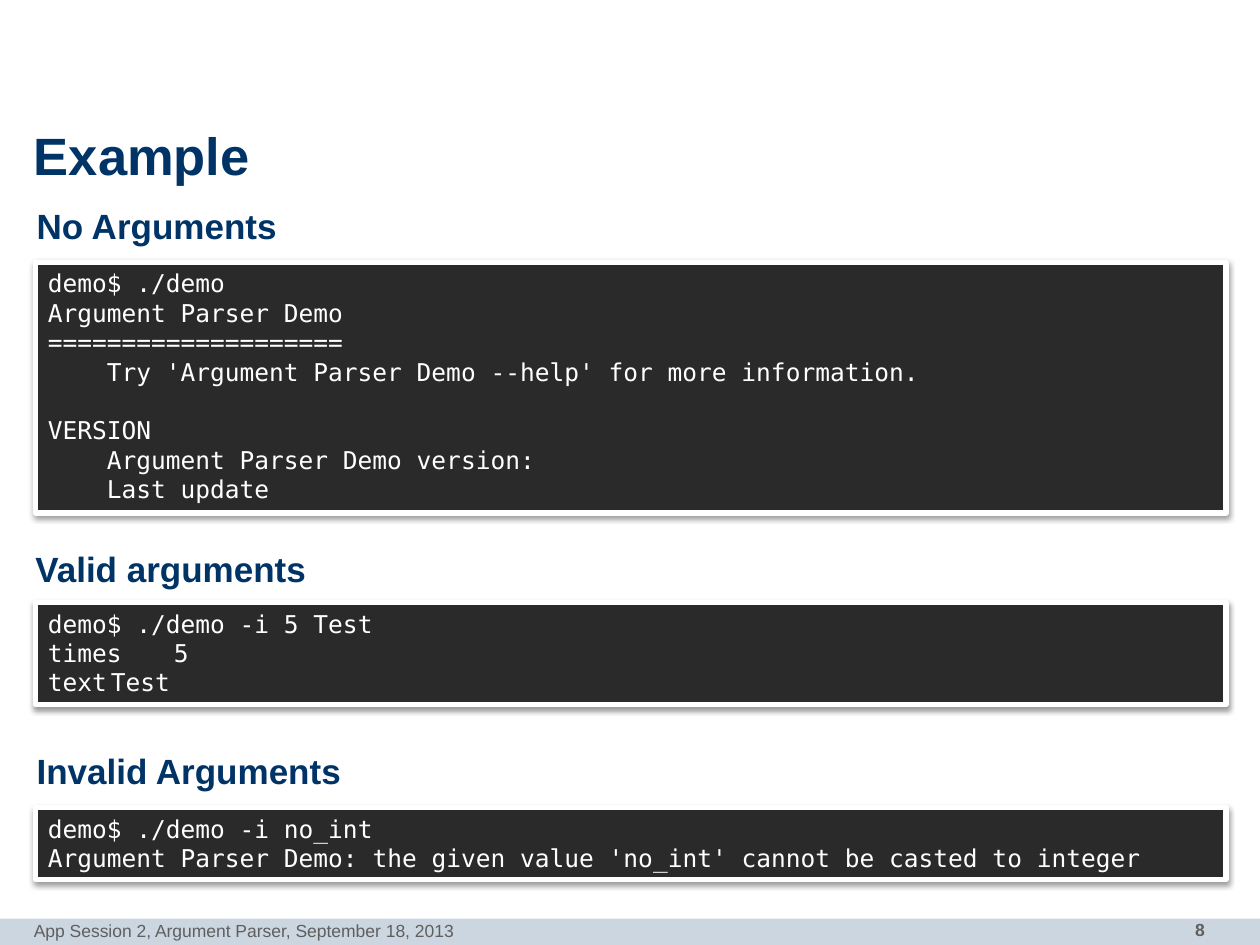
from dataclasses import dataclass

import lxml.etree
import pptx
import pptx.dml.color
import pptx.enum.shapes
import pptx.enum.text
import pptx.oxml.ns
import pptx.util

Pt = pptx.util.Pt
RGBColor = pptx.dml.color.RGBColor
Align = pptx.enum.text.PP_ALIGN
Anchor = pptx.enum.text.MSO_ANCHOR
qn = pptx.oxml.ns.qn

NAVY = RGBColor(0x00, 0x33, 0x66)
GRAY = RGBColor(0x5F, 0x5F, 0x5F)
PALE_BLUE = RGBColor(0xCC, 0xD6, 0xE0)
CHARCOAL = RGBColor(0x2A, 0x2A, 0x2A)
WHITE = RGBColor(0xFF, 0xFF, 0xFF)

SANS = "Arial"
MONO = "DejaVu Sans Mono"
CODE_SIZE = 14
CODE_INDENT = 33.7  # four characters
CODE_LINE = 16.8
CONTENT_WIDTH = 680.4
HEADING_HEIGHT = 33.84


@dataclass
class Line:
    text: str
    indented: bool = False
    gap_before: bool = False


@dataclass
class Example:
    heading: str
    heading_left: float
    heading_top: float
    terminal_top: float
    terminal_height: float
    lines: list[Line]


EXAMPLES = [
    Example("No Arguments", 20.9, 113.8, 149.8, 143.3, [
        Line("demo$ ./demo"),
        Line("Argument Parser Demo\v===================="),
        Line("Try 'Argument Parser Demo --help' for more information.", indented=True),
        Line("VERSION", gap_before=True),
        Line("Argument Parser Demo version:", indented=True),
        Line("Last update", indented=True),
    ]),
    Example("Valid arguments", 20.2, 309.6, 344.2, 58.3, [
        Line("demo$ ./demo -i 5 Test"),
        Line("times\t5"),
        Line("text\tTest"),
    ]),
    Example("Invalid Arguments", 20.9, 425.5, 461.5, 41, [
        Line("demo$ ./demo -i no_int"),
        Line("Argument Parser Demo: the given value 'no_int' cannot be casted to integer"),
    ]),
]


def style_para(para, font: str, size: float, color: RGBColor, bold: bool = False) -> None:
    for span in para.runs:
        span.font.name = font
        span.font.size = Pt(size)
        span.font.bold = bold
        span.font.color.rgb = color


def add_label(page, text: str, left: float, top: float, width: float, height: float,
              size: float, color: RGBColor, bold: bool = False,
              align=Align.LEFT, anchor=Anchor.MIDDLE,
              side_inset: float = 0, edge_inset: float = 0, spacing: float = 1) -> None:
    box = page.shapes.add_textbox(Pt(left), Pt(top), Pt(width), Pt(height))
    frame = box.text_frame
    frame.word_wrap = True
    frame.vertical_anchor = anchor
    frame.margin_left = frame.margin_right = Pt(side_inset)
    frame.margin_top = frame.margin_bottom = Pt(edge_inset)
    frame.text = text
    para = frame.paragraphs[0]
    para.alignment = align
    para.line_spacing = spacing
    style_para(para, SANS, size, color, bold)


def add_rectangle(page, left: float, top: float, width: float, height: float,
                  fill: RGBColor):
    box = page.shapes.add_shape(pptx.enum.shapes.MSO_SHAPE.RECTANGLE,
                                Pt(left), Pt(top), Pt(width), Pt(height))
    box.shadow.inherit = False
    box.fill.solid()
    box.fill.fore_color.rgb = fill
    box.line.fill.background()
    return box


def add_shadow(box) -> None:
    effects = box.element.spPr.find(qn("a:effectLst"))
    shadow = lxml.etree.SubElement(
        effects, qn("a:outerShdw"), blurRad=str(Pt(3.1)), dist=str(Pt(1.6)),
        dir="5400000", rotWithShape="0")
    color = lxml.etree.SubElement(shadow, qn("a:srgbClr"), val="000000")
    lxml.etree.SubElement(color, qn("a:alpha"), val="38000")


def add_terminal(page, example: Example) -> None:
    box = add_rectangle(page, 20.2, example.terminal_top, CONTENT_WIDTH,
                        example.terminal_height, CHARCOAL)
    box.line.color.rgb = WHITE
    box.line.width = Pt(3)
    add_shadow(box)
    frame = box.text_frame
    frame.word_wrap = True
    frame.auto_size = pptx.enum.text.MSO_AUTO_SIZE.SHAPE_TO_FIT_TEXT
    frame.vertical_anchor = Anchor.TOP
    frame.text = "\n".join(line.text for line in example.lines)
    for para, line in zip(frame.paragraphs, example.lines):
        para.alignment = Align.LEFT
        if line.gap_before:
            para.space_before = Pt(CODE_LINE)
        if line.indented:
            para._p.get_or_add_pPr().set("marL", str(Pt(CODE_INDENT)))
        style_para(para, MONO, CODE_SIZE, WHITE)


def main() -> None:
    deck = pptx.Presentation()
    deck.slide_width, deck.slide_height = Pt(720), Pt(540)
    page = deck.slides.add_slide(deck.slide_layouts[6])

    # Footer bar and page number
    add_rectangle(page, 0, 524.9, 720, 15.1, PALE_BLUE)
    add_label(page, "8", 599, 522, 96.5, 18.7, 10, GRAY, bold=True,
              align=Align.RIGHT, side_inset=7.2)

    # Title
    add_label(page, "Example", 19.4, 74.2, CONTENT_WIDTH, HEADING_HEIGHT, 30, NAVY,
              bold=True, spacing=0.85)

    # Headings with their terminal output
    for example in EXAMPLES:
        add_terminal(page, example)
        add_label(page, example.heading, example.heading_left, example.heading_top,
                  CONTENT_WIDTH, HEADING_HEIGHT, 20, NAVY, bold=True, spacing=0.85)

    # Footer text
    add_label(page, "App Session 2, Argument Parser, September 18, 2013",
              19.4, 522, 470.9, 18, 10, GRAY, anchor=Anchor.TOP, edge_inset=3.6)

    deck.save("out.pptx")


if __name__ == "__main__":
    main()
